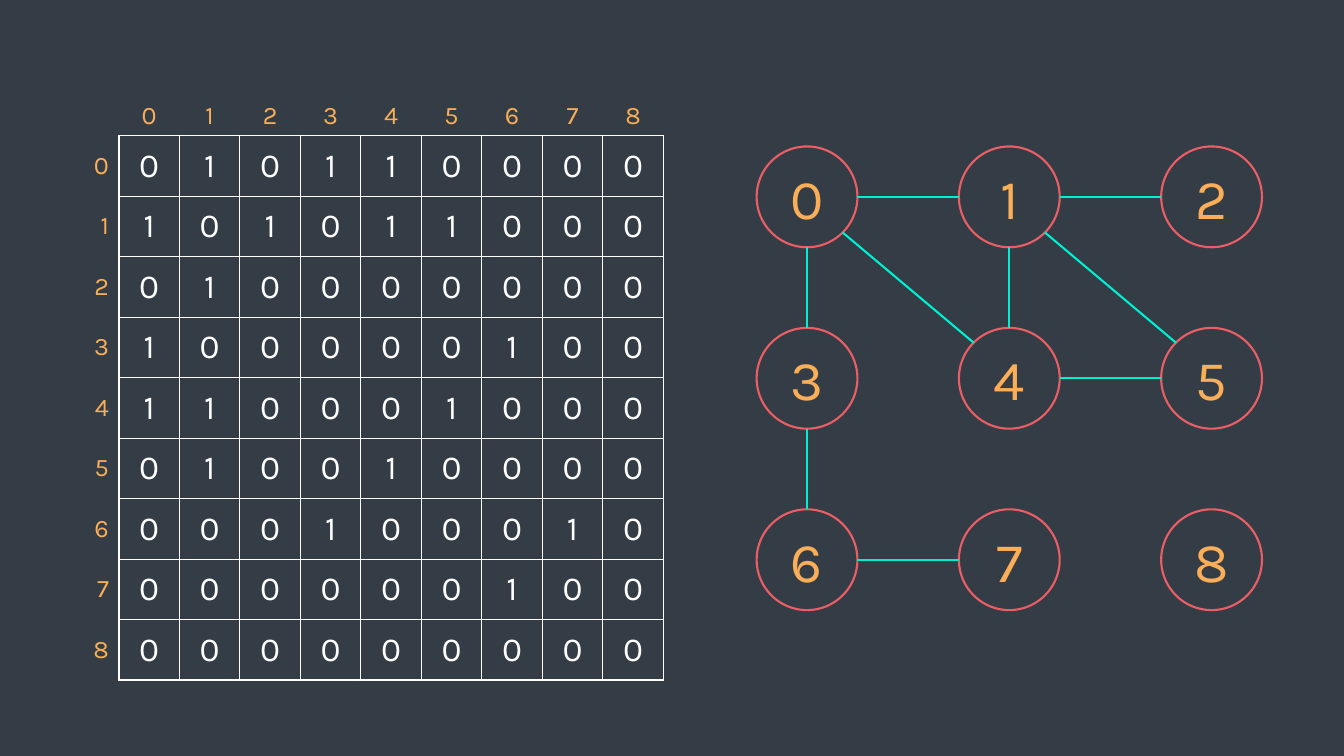
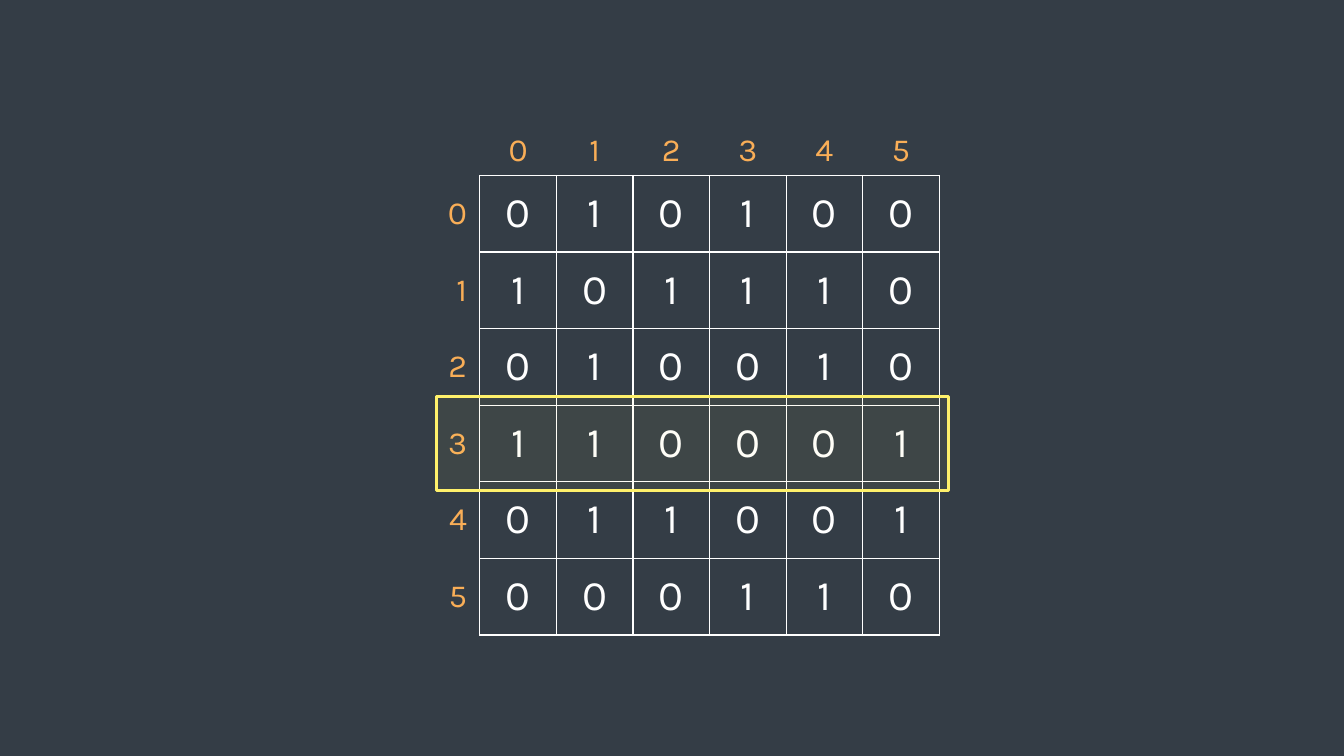
from itertools import combinations
from math import hypot

from lxml.etree import SubElement
from pptx import Presentation
from pptx.dml.color import RGBColor
from pptx.enum.shapes import MSO_CONNECTOR, MSO_SHAPE
from pptx.enum.text import MSO_ANCHOR, PP_ALIGN
from pptx.oxml.ns import qn
from pptx.util import Pt

PX = 6096  # EMU, 150 px to the inch
BACKGROUND = RGBColor(0x34, 0x3D, 0x46)
ORANGE = RGBColor(0xF9, 0xAE, 0x57)
WHITE = RGBColor(0xFF, 0xFF, 0xFF)
RED = RGBColor(0xEC, 0x5E, 0x66)
TEAL = RGBColor(0x00, 0xEF, 0xD1)
YELLOW = RGBColor(0xFF, 0xF1, 0x6B)
FONT = "Karla"
NO_STYLE_NO_GRID = "{2D5ABB26-0587-4C30-8999-92F81FD0307C}"

GRAPH_MATRIX = [
    "010110000",
    "101011000",
    "010000000",
    "100000100",
    "110001000",
    "010010000",
    "000100010",
    "000000100",
    "000000000",
]
ROW_MATRIX = ["010100", "101110", "010010", "110001", "011001", "000110"]

LABEL_SIZE, VALUE_SIZE, NODE_SIZE = 18, 24, 40
NODE_LEFT, NODE_TOP, DIAMETER = 1126, 218, 150
NODE_GAP_X, NODE_GAP_Y, NODE_COLUMNS = 301, 270, 3
# Direction (columns, rows) -> ellipse connection sites at start and end
SITES = {(1, 0): (6, 2), (0, 1): (4, 0), (1, 1): (5, 1)}


def write_text(frame, text, size, color, alignment):
    paragraph = frame.paragraphs[0]
    paragraph.alignment = alignment
    run = paragraph.add_run()
    run.text = text
    run.font.name = FONT
    run.font.size = Pt(size)
    run.font.color.rgb = color


def add_matrix(slide, matrix, left, top, cell_size, label_size, value_size, margins):
    """Draw an adjacency matrix with index labels above and to the left of it."""
    count = len(matrix) + 1
    side = count * cell_size * PX
    graphic_frame = slide.shapes.add_table(count, count, left * PX, top * PX, side, side)
    table = graphic_frame.table
    table.first_row = table.horz_banding = False
    next(graphic_frame.element.iter(qn("a:tableStyleId"))).text = NO_STYLE_NO_GRID
    for line in [*table.columns]:
        line.width = cell_size * PX
    for line in [*table.rows]:
        line.height = cell_size * PX

    margin_x, margin_y = margins
    for row in range(count):
        for column in range(count):
            cell = table.cell(row, column)
            cell.fill.background()
            cell.margin_left = cell.margin_right = margin_x * PX
            cell.margin_top = cell.margin_bottom = margin_y * PX
            cell.vertical_anchor = MSO_ANCHOR.MIDDLE if row else MSO_ANCHOR.BOTTOM
            if row and column:
                value = matrix[row - 1][column - 1]
                write_text(cell.text_frame, value, value_size, WHITE, PP_ALIGN.CENTER)
                properties = cell._tc.get_or_add_tcPr()
                for index, edge in enumerate(("lnL", "lnR", "lnT", "lnB")):
                    border = SubElement(properties, qn(f"a:{edge}"), w=str(Pt(1)))
                    fill = SubElement(border, qn("a:solidFill"))
                    SubElement(fill, qn("a:srgbClr"), val=str(WHITE))
                    properties.insert(index, border)
            elif row or column:
                alignment = PP_ALIGN.RIGHT if row else PP_ALIGN.CENTER
                label = str(row + column - 1)
                write_text(cell.text_frame, label, label_size, ORANGE, alignment)


presentation = Presentation()
presentation.slide_width = 2000 * PX
presentation.slide_height = 1125 * PX
master_fill = presentation.slide_master.background.fill
master_fill.solid()
master_fill.fore_color.rgb = BACKGROUND
blank_layout = presentation.slide_layouts[6]

# Slide 1: a graph and its adjacency matrix
graph_slide = presentation.slides.add_slide(blank_layout)
nodes = []
for number in range(len(GRAPH_MATRIX)):
    grid_row, grid_column = divmod(number, NODE_COLUMNS)
    node = graph_slide.shapes.add_shape(
        MSO_SHAPE.OVAL,
        (NODE_LEFT + grid_column * NODE_GAP_X) * PX,
        (NODE_TOP + grid_row * NODE_GAP_Y) * PX,
        DIAMETER * PX,
        DIAMETER * PX,
    )
    node.shadow.inherit = False
    node.fill.solid()
    node.fill.fore_color.rgb = BACKGROUND
    node.line.color.rgb = RED
    node.line.width = Pt(1.5)
    node.text_frame.vertical_anchor = MSO_ANCHOR.MIDDLE
    write_text(node.text_frame, str(number), NODE_SIZE, ORANGE, PP_ALIGN.CENTER)
    nodes.append(node)

for first, second in combinations(range(len(nodes)), 2):
    if GRAPH_MATRIX[first][second] == "0":
        continue
    start, end = nodes[first], nodes[second]
    step_x = second % NODE_COLUMNS - first % NODE_COLUMNS
    step_y = second // NODE_COLUMNS - first // NODE_COLUMNS
    radius = DIAMETER * PX / 2
    reach = radius / hypot(step_x, step_y)
    connector = graph_slide.shapes.add_connector(
        MSO_CONNECTOR.STRAIGHT,
        round(start.left + radius + step_x * reach),
        round(start.top + radius + step_y * reach),
        round(end.left + radius - step_x * reach),
        round(end.top + radius - step_y * reach),
    )
    connector.line.color.rgb = TEAL
    connector.line.width = Pt(1.5)
    SubElement(connector.element.find(qn("p:spPr")), qn("a:effectLst"))
    joints = next(connector.element.iter(qn("p:cNvCxnSpPr")))
    for tag, node, site in zip(("stCxn", "endCxn"), (start, end), SITES[step_x, step_y]):
        SubElement(joints, qn(f"a:{tag}"), id=str(node.shape_id), idx=str(site))

add_matrix(graph_slide, GRAPH_MATRIX, 87, 112, 90, LABEL_SIZE, VALUE_SIZE, (15, 8))

# Slide 2: one row of a matrix highlighted
row_slide = presentation.slides.add_slide(blank_layout)
add_matrix(row_slide, ROW_MATRIX, 600, 147, 114, 23, 30, (19, 9))

highlight = row_slide.shapes.add_shape(
    MSO_SHAPE.RECTANGLE, 649 * PX, 590 * PX, 762 * PX, 140 * PX
)
highlight.shadow.inherit = False
highlight.fill.solid()
highlight.fill.fore_color.rgb = YELLOW
fill_color = highlight.element.find(qn("p:spPr")).find(qn("a:solidFill"))[0]
SubElement(fill_color, qn("a:alpha"), val="5000")
highlight.line.color.rgb = YELLOW
highlight.line.width = Pt(2.25)

presentation.save("out.pptx")
